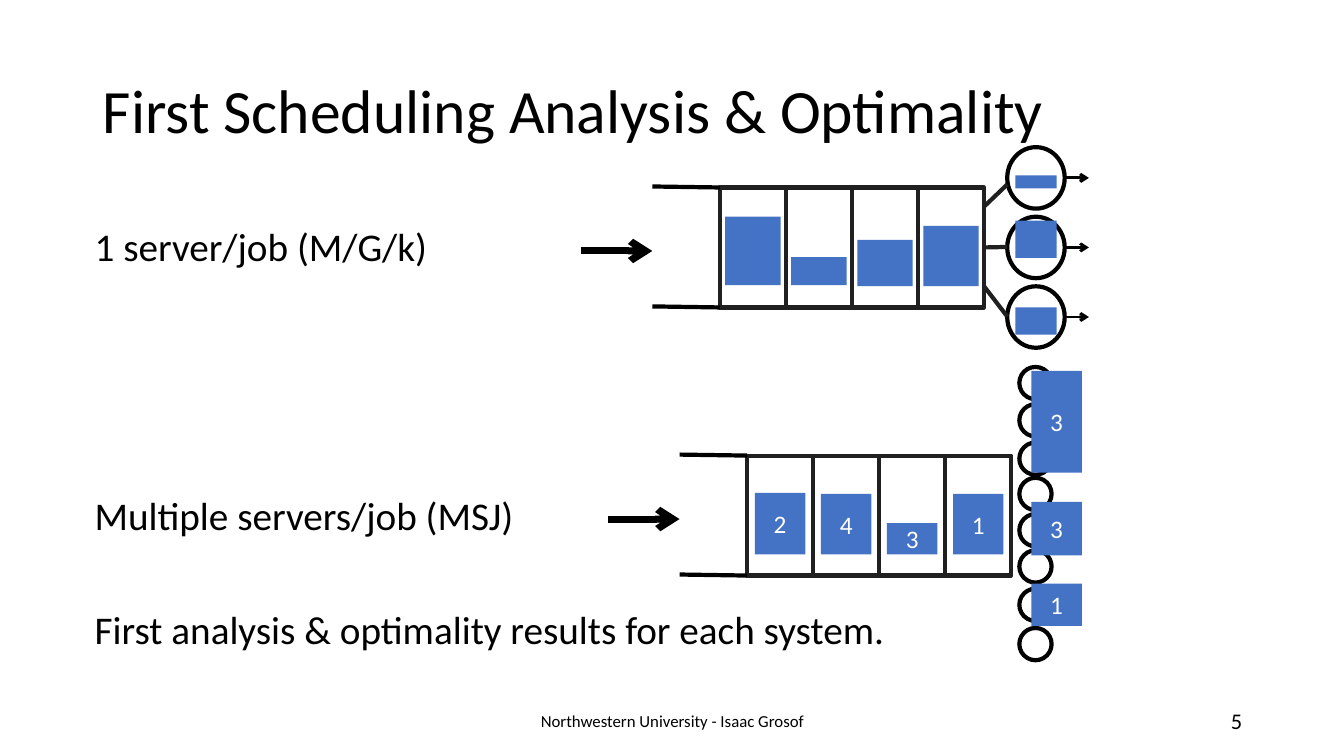
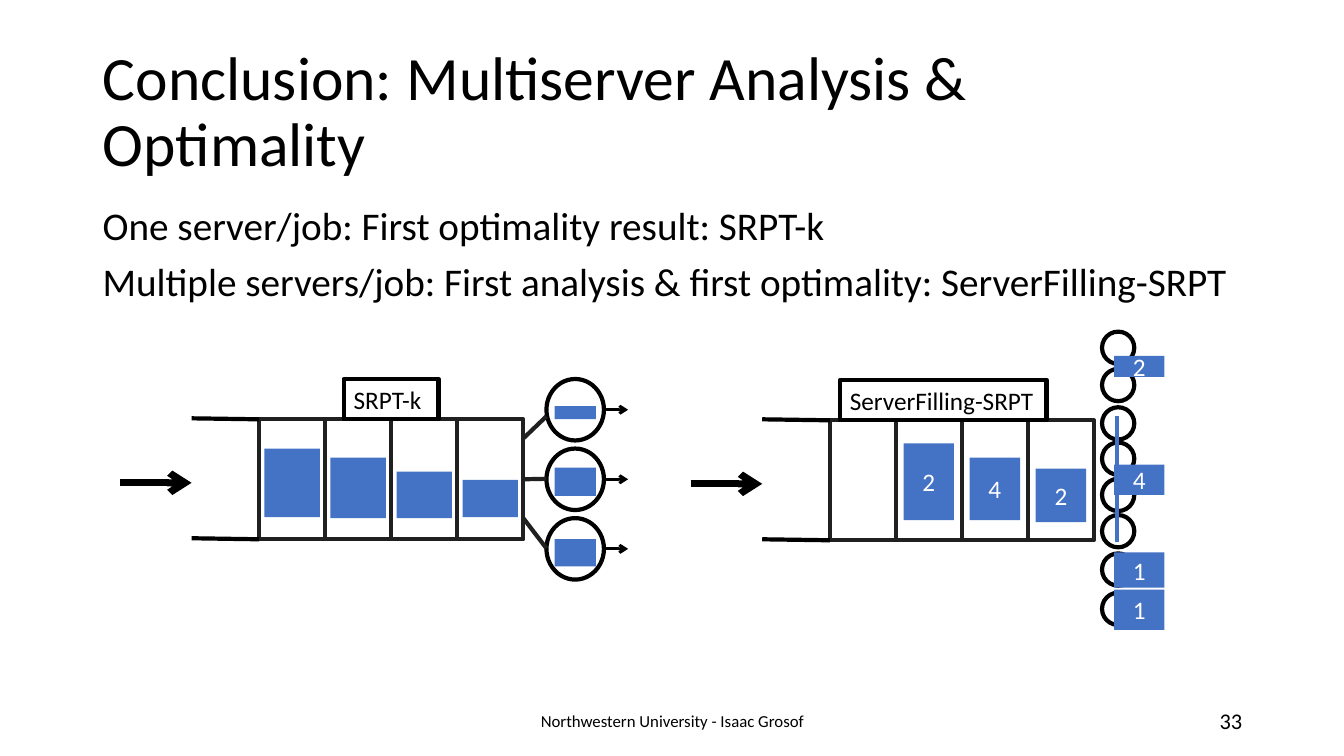
from dataclasses import dataclass

from lxml.etree import SubElement
from pptx import Presentation
from pptx.dml.color import RGBColor
from pptx.enum.shapes import MSO_CONNECTOR, MSO_SHAPE
from pptx.enum.text import MSO_ANCHOR, MSO_AUTO_SIZE, PP_ALIGN
from pptx.oxml.ns import qn
from pptx.util import Inches, Pt


@dataclass(frozen=True)
class Theme:
    font: str = "Calibri"
    black: RGBColor = RGBColor(0x00, 0x00, 0x00)
    white: RGBColor = RGBColor(0xFF, 0xFF, 0xFF)
    slot: RGBColor = RGBColor(0x20, 0x20, 0x20)
    job: RGBColor = RGBColor(0x44, 0x72, 0xC4)
    title: int = 44
    body: int = 28
    label: int = 18
    number: int = 16
    footer: int = 12
    thin: int = 2
    outline: int = 3
    arrival: int = 5


T = Theme()
FOOTER = "Northwestern University - Isaac Grosof"

# Queue geometry, measured from the top left corner of the first slot
QUEUE_W, QUEUE_H = 2.62, 1.19
SLOT_W = QUEUE_W / 4
TAIL_X, ARRIVAL_X, ARRIVAL_Y = -0.67, -1.38, 0.63
SERVER_X, SERVER_W, SERVER_H = 2.85, 0.57, 0.61
SERVER_TOP, SERVER_PITCH = -0.4, 0.69
EXIT_LEN = 0.24
LINKS = [(0.19, -0.03), (QUEUE_H / 2, 0.59), (0.98, 1.28)]
SMALL_SERVER_X, SMALL_SERVER_D = 2.7, 0.32
SMALL_SERVER_TOPS = [-0.88, -0.51, -0.13, 0.22, 0.58, 0.94, 1.32, 1.71]

# jobs: (slot, top, height, servers needed); service: (top, height, servers needed)
# policy: (text, left, width); span: top and bottom of the bar across servers
SLIDES = [
    dict(
        title="First Scheduling Analysis & Optimality", title_w=12.24, number="5",
        body_at=(0.84, 2.21),
        body=[("1 server/job (M/G/k)", 0), ("Multiple servers/job (MSJ)", 162),
              ("First analysis & optimality results for each system.", 51)],
        queues=[
            dict(at=(7.14, 1.86), multi=False,
                 jobs=[(0, 0.29, 0.68, ""), (1, 0.69, 0.28, ""),
                       (2, 0.52, 0.46, ""), (3, 0.38, 0.6, "")],
                 service=[(-0.12, 0.13, ""), (0.33, 0.37, ""), (1.19, 0.27, "")]),
            dict(at=(7.41, 4.52), multi=True,
                 jobs=[(0, 0.37, 0.61, "2"), (1, 0.38, 0.6, "4"),
                       (2, 0.67, 0.31, "3"), (3, 0.38, 0.6, "1")],
                 service=[(-0.84, 1.01, "3"), (0.46, 0.53, "3"), (1.27, 0.42, "1")]),
        ]),
    dict(
        title="Conclusion: Multiserver Analysis & Optimality", title_w=11.5, number="33",
        body_at=(0.92, 2),
        body=[("One server/job: First optimality result: SRPT-k", 0),
              ("Multiple servers/job: First analysis & first optimality: "
               "ServerFilling-SRPT", 10)],
        queues=[
            dict(at=(2.57, 4.16), multi=False, policy=("SRPT-k", 0.84, 0.94),
                 jobs=[(0, 0.29, 0.68, ""), (1, 0.38, 0.6, ""),
                       (2, 0.52, 0.46, ""), (3, 0.6, 0.37, "")],
                 service=[(-0.13, 0.13, ""), (0.48, 0.28, ""), (1.19, 0.27, "")]),
            dict(at=(8.23, 4.17), multi=True, policy=("ServerFilling-SRPT", 0.1, 2.05),
                 jobs=[(1, 0.23, 0.76, "2"), (2, 0.37, 0.62, "4"), (3, 0.48, 0.53, "2")],
                 service=[(-0.64, 0.21, "2"), (0.44, 0.3, "4"),
                          (1.31, 0.35, "1"), (1.68, 0.4, "1")],
                 span=(-0.04, 1.21)),
        ]),
]


def write(tf, lines, size, color=T.black, align=PP_ALIGN.LEFT, anchor=MSO_ANCHOR.MIDDLE,
          spacing=1.0, wrap=True):
    """Fill a text frame with (text, space before in points) paragraphs."""
    tf.word_wrap = wrap
    tf.auto_size = MSO_AUTO_SIZE.NONE
    tf.vertical_anchor = anchor
    for i, (text, before) in enumerate(lines):
        p = tf.add_paragraph() if i else tf.paragraphs[0]
        p.alignment, p.line_spacing, p.space_before = align, spacing, Pt(before)
        r = p.add_run()
        r.text = text
        r.font.name, r.font.size, r.font.color.rgb = T.font, Pt(size), color


def add_box(shapes, kind, x, y, w, h, fill=T.white, line=None):
    sp = shapes.add_shape(kind, Inches(x), Inches(y), Inches(w), Inches(h))
    sp.shadow.inherit = False
    sp.fill.solid()
    sp.fill.fore_color.rgb = fill
    if line is None:
        sp.line.fill.background()
    else:
        sp.line.color.rgb, sp.line.width = line, Pt(T.outline)
    return sp


prs = Presentation()
prs.slide_width, prs.slide_height = Inches(13.33), Inches(7.5)

for page in SLIDES:
    s = prs.slides.add_slide(prs.slide_layouts[5])
    title = s.shapes.title
    title.left, title.top = Inches(0.92), Inches(0.4)
    title.width, title.height = Inches(page["title_w"]), Inches(1.45)
    write(title.text_frame, [(page["title"], 0)], T.title, spacing=0.9)

    left, top = page["body_at"]
    body = s.shapes.add_textbox(Inches(left), Inches(top), Inches(11.5), Inches(4.76))
    write(body.text_frame, page["body"], T.body, anchor=MSO_ANCHOR.TOP, spacing=0.9)

    for text, x, w, size, align in [
        (page["number"], 9.42, 3, T.number, PP_ALIGN.RIGHT),
        (FOOTER, 4.42, 4.5, T.footer, PP_ALIGN.CENTER),
    ]:
        box = s.shapes.add_textbox(Inches(x), Inches(6.95), Inches(w), Inches(0.4))
        write(box.text_frame, [(text, 0)], size, align=align)

    for queue in page["queues"]:
        x0, y0 = queue["at"]
        multi = queue["multi"]
        shapes = s.shapes.add_group_shape().shapes

        for i in range(4):
            slot = add_box(shapes, MSO_SHAPE.RECTANGLE, x0 + i * SLOT_W, y0,
                           SLOT_W, QUEUE_H, line=T.slot)

        # (x1, y1, x2, y2, colour, width, arrowhead, rectangle it starts from)
        lines = [(TAIL_X, y - 0.01, 0, y, T.black, T.outline, False, None)
                 for y in (0, QUEUE_H)]
        lines.append((ARRIVAL_X, ARRIVAL_Y, TAIL_X, ARRIVAL_Y,
                      T.black, T.arrival, True, None))

        if multi:
            job_w, service_x, service_w = 0.5, 2.82, 0.5
            servers = [(SMALL_SERVER_X, y, SMALL_SERVER_D, SMALL_SERVER_D)
                       for y in SMALL_SERVER_TOPS]
        else:
            job_w, service_x, service_w = 0.55, SERVER_X + 0.08, 0.41
            servers = [(SERVER_X, SERVER_TOP + i * SERVER_PITCH, SERVER_W, SERVER_H)
                       for i in range(3)]
            for (x, y, w, h), (y1, y2) in zip(servers, LINKS):
                lines.append((QUEUE_W, y1, SERVER_X, y2, T.slot, T.outline, False,
                              slot if y1 == QUEUE_H / 2 else None))
                lines.append((x + w, y + h / 2, x + w + EXIT_LEN, y + h / 2,
                              T.black, T.thin, True, None))

        for x, y, w, h in servers:
            add_box(shapes, MSO_SHAPE.OVAL, x0 + x, y0 + y, w, h, line=T.black)

        jobs = [(i * SLOT_W + (SLOT_W - job_w) / 2, y, job_w, h, need)
                for i, y, h, need in queue["jobs"]]
        jobs += [(service_x, y, service_w, h, need) for y, h, need in queue["service"]]
        for x, y, w, h, need in jobs:
            job = add_box(shapes, MSO_SHAPE.RECTANGLE, x0 + x, y0 + y, w, h, fill=T.job)
            if need:
                write(job.text_frame, [(need, 0)], T.label, T.white, PP_ALIGN.CENTER)

        if "policy" in queue:
            text, x, w = queue["policy"]
            policy = add_box(shapes, MSO_SHAPE.RECTANGLE, x0 + x, y0 - 0.4, w, 0.4,
                             line=T.black)
            write(policy.text_frame, [(text, 0)], T.label, anchor=MSO_ANCHOR.TOP, wrap=False)

        if "span" in queue:
            y1, y2 = queue["span"]
            lines.append((2.85, y1, 2.85, y2, T.job, T.outline, False, None))

        for x1, y1, x2, y2, color, width, arrow, start in lines:
            cn = shapes.add_connector(MSO_CONNECTOR.STRAIGHT, Inches(x0 + x1),
                                      Inches(y0 + y1), Inches(x0 + x2), Inches(y0 + y2))
            cn.line.color.rgb, cn.line.width = color, Pt(width)
            if start is not None:
                cn.begin_connect(start, 3)
            props = cn._element.spPr
            if arrow:
                SubElement(props.find(qn("a:ln")), qn("a:tailEnd"), type="arrow")
            SubElement(props, qn("a:effectLst"))

prs.save("out.pptx")
